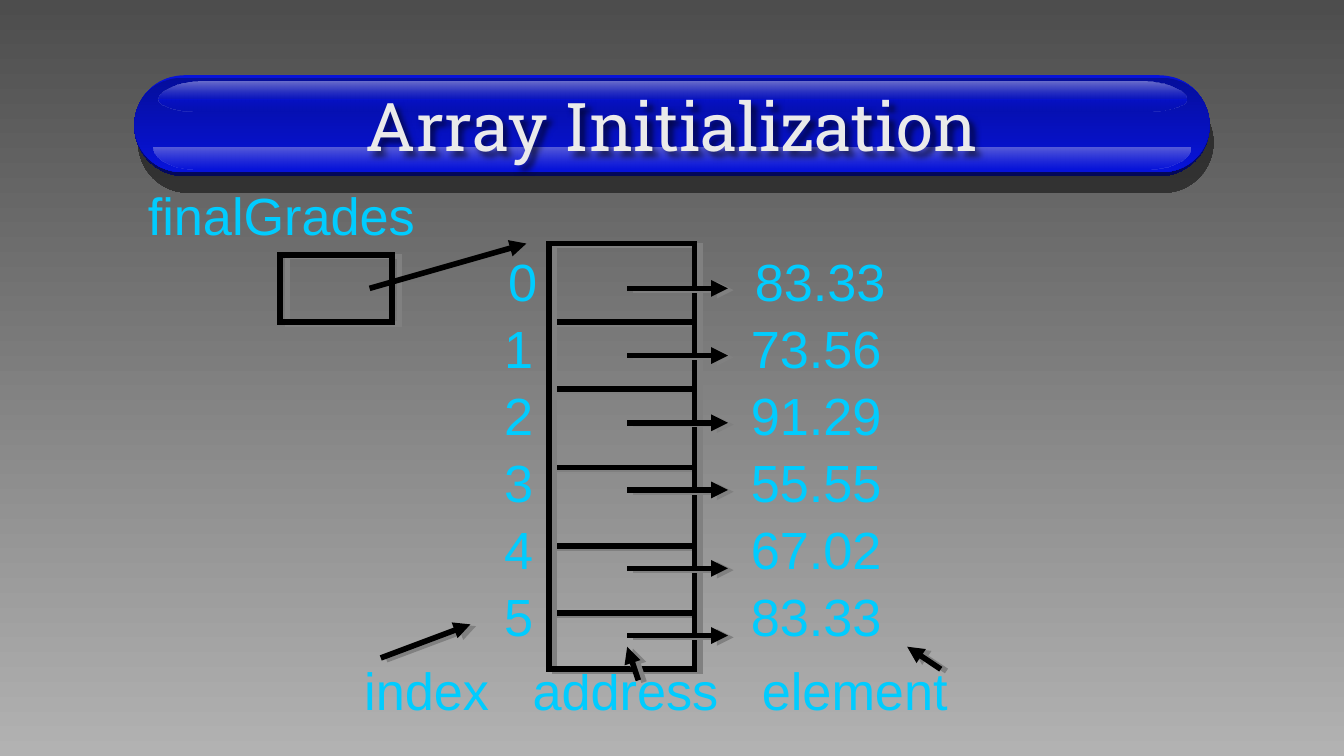
from math import cos, pi, sin

from lxml.etree import SubElement
from pptx import Presentation
from pptx.dml.color import RGBColor
from pptx.enum.shapes import MSO_CONNECTOR as CONN, MSO_SHAPE as SHAPE
from pptx.enum.text import MSO_ANCHOR as ANCHOR, MSO_AUTO_SIZE as AUTO, PP_ALIGN as ALIGN
from pptx.oxml.ns import qn
from pptx.util import Inches, Pt

BLACK = RGBColor(0x00, 0x00, 0x00)
GREY = RGBColor(0x80, 0x80, 0x80)
BG_TOP = RGBColor(0x4D, 0x4D, 0x4D)
BG_BOTTOM = RGBColor(0xB2, 0xB2, 0xB2)
TITLE = RGBColor(0xEA, 0xEA, 0xEA)
CYAN = RGBColor(0x00, 0xCC, 0xFF)
BLUE = RGBColor(0x07, 0x13, 0xDA)
MID_BLUE = RGBColor(0x05, 0x0E, 0x9C)
LOW_BLUE = RGBColor(0x06, 0x10, 0xB2)
DARK_BLUE = RGBColor(0x03, 0x08, 0x57)
SHINE = RGBColor(0xB0, 0xB0, 0xEB)
LOW_SHINE = RGBColor(0x8F, 0x8F, 0xE4)

GRADES = ["83.33", "73.56", "91.29", "55.55", "67.02", "83.33"]
DIVIDER_ROWS = [29, 35, 42, 49, 55]
ARROW_ROWS = [26, 32, 38, 44, 51, 57]


def col(n):
    return Inches(n / 12)


def row(n):
    """Rows are a twelfth of an inch; the grid starts a quarter row above the slide."""
    return Inches((n - 0.25) / 12)


def gradient(fill, first, last, alphas=()):
    fill.gradient()
    fill.gradient_angle = 270
    for stop, color in zip(fill.gradient_stops, (first, last)):
        stop.color.rgb = color
    for gs, alpha in zip(fill._fill._gradFill.iter(qn("a:srgbClr")), alphas):
        SubElement(gs, qn("a:alpha"), val=str(alpha * 1000))


def add_shadow(effects, color, dist, angle, blur=0, alpha=100):
    shadow = SubElement(effects, qn("a:outerShdw"), blurRad=str(Pt(blur)),
                        dist=str(Pt(dist)), dir=str(angle * 60000),
                        algn="ctr", rotWithShape="0")
    clr = SubElement(shadow, qn("a:srgbClr"), val=str(color))
    SubElement(clr, qn("a:alpha"), val=str(alpha * 1000))


class Board:
    def __init__(self, prs):
        self.s = prs.slides.add_slide(prs.slide_layouts[1])
        gradient(self.s.background.fill, BG_TOP, BG_BOTTOM)

    def effects(self, sp):
        return SubElement(sp._element.spPr, qn("a:effectLst"))

    def stroke(self, sp):
        sp.line.color.rgb = BLACK
        sp.line.width = Pt(3)
        SubElement(sp.line._get_or_add_ln(), qn("a:miter"), lim="800000")

    def box(self, c, r, w, h, dist, angle):
        sp = self.s.shapes.add_shape(SHAPE.RECTANGLE, col(c), row(r), col(w), col(h))
        sp.fill.background()
        self.stroke(sp)
        add_shadow(self.effects(sp), GREY, dist, angle)

    def line(self, c1, r1, c2, r2, arrow=True, shadow=True):
        cx = self.s.shapes.add_connector(CONN.STRAIGHT, col(c1), row(r1), col(c2), row(r2))
        self.stroke(cx)
        if arrow:
            SubElement(cx.line._get_or_add_ln(), qn("a:tailEnd"), type="triangle")
        effects = self.effects(cx)
        if shadow:
            add_shadow(effects, GREY, 3.2, 18)

    def pill(self, y, h, first, last, shadow=False):
        sp = self.s.shapes.add_shape(SHAPE.ROUNDED_RECTANGLE, col(12), Inches(y),
                                     col(96), Inches(h))
        sp.adjustments[0] = 0.5
        gradient(sp.fill, first, last)
        sp.line.fill.background()
        effects = self.effects(sp)
        if shadow:
            add_shadow(effects, BLACK, 9.2, 77, alpha=50)

    def gloss(self, left, right, edge, flat, first, last, corner=0.34):
        """Strip with a full-width edge whose corners curve in to a shorter flat side."""
        arc = [(corner * (1 - cos(t)), edge + (flat - edge) * sin(t))
               for t in (i * pi / 24 for i in range(13))]
        points = [(left + x, y) for x, y in arc]
        points += [(right - x, y) for x, y in reversed(arc)]
        points = [(Inches(x), Inches(y)) for x, y in points]
        builder = self.s.shapes.build_freeform(*points[0], scale=1.0)
        builder.add_line_segments(points[1:], close=True)
        sp = builder.convert_to_shape()
        gradient(sp.fill, first, last, alphas=(60, 40))
        sp.line.fill.background()
        sp.shadow.inherit = False

    def place(self, sp, left, top, width, height, anchor):
        sp.left, sp.top, sp.width, sp.height = left, top, width, height
        # Text stays in front of the shapes drawn before it.
        self.s.shapes._spTree.append(sp._element)
        tf = sp.text_frame
        tf.word_wrap, tf.auto_size = True, AUTO.NONE
        tf.vertical_anchor = anchor
        return tf

    def run(self, p, text, font, size, color):
        r = p.add_run()
        r.text = text
        r.font.name, r.font.size = font, Pt(size)
        r.font.color.rgb = color
        return r

    def title(self, text):
        sp = self.s.shapes.title
        tf = self.place(sp, col(12), row(7), col(96), Inches(0.73), ANCHOR.MIDDLE)
        p = tf.paragraphs[0]
        p.alignment = ALIGN.CENTER
        self.run(p, text, "Roboto Slab", 36, TITLE)
        add_shadow(self.effects(sp), BLACK, 3, 45, blur=3, alpha=60)

    def body(self, lines):
        """Each line is (cells, indent in inches, gap in points, line spacing)."""
        tf = self.place(self.s.placeholders[1], col(12), Inches(1.31), col(96),
                        Inches(4.25), ANCHOR.TOP)
        for i, (cells, indent, gap, spacing) in enumerate(lines):
            p = tf.add_paragraph() if i else tf.paragraphs[0]
            p.line_spacing = spacing
            p.space_before = Pt(5.7 if i else 0)
            pPr = p._p.get_or_add_pPr()
            pPr.set("marL", str(Inches(indent)))
            pPr.set("indent", "0")
            SubElement(pPr, qn("a:buNone"))
            for j, cell in enumerate(cells):
                if j:
                    space = self.run(p, " ", "Arial", 28, CYAN)
                    space._r.rPr.set("spc", str(round(gap * 100)))
                self.run(p, cell, "Arial", 28, CYAN)


def main():
    prs = Presentation()
    prs.slide_width, prs.slide_height = Inches(10), Inches(5.625)
    board = Board(prs)

    board.pill(0.56, 0.75, BLUE, DARK_BLUE, shadow=True)
    board.pill(0.58, 0.7, MID_BLUE, BLUE)
    board.gloss(1.14, 8.86, 1.1, 1.26, LOW_SHINE, BLUE)
    board.gloss(1.18, 8.83, 0.74, 0.61, SHINE, BLUE)
    board.gloss(1.18, 8.83, 0.74, 0.83, BLUE, LOW_BLUE)
    board.title("Array Initialization")

    rows = [((str(i), grade), 2.65 if i else 2.68, 108.9, 0.9)
            for i, grade in enumerate(GRADES)]
    board.body([(("finalGrades",), 0, 0, 1.0), *rows,
                (("index", "address", "element"), 1.61, 15.6, 1.0)])

    board.box(25, 23, 10, 6, 4.1, 14)
    board.line(33, 26, 47, 22, shadow=False)
    for r in DIVIDER_ROWS:
        board.line(49, r, 62, r, arrow=False)
    board.box(49, 22, 13, 38, 3.2, 18)
    for r in ARROW_ROWS:
        board.line(56, r, 65, r)
    for label_pointer in [(34, 59, 42, 56), (57, 61, 56, 58), (84, 60, 81, 58)]:
        board.line(*label_pointer)

    prs.save("out.pptx")


if __name__ == "__main__":
    main()
